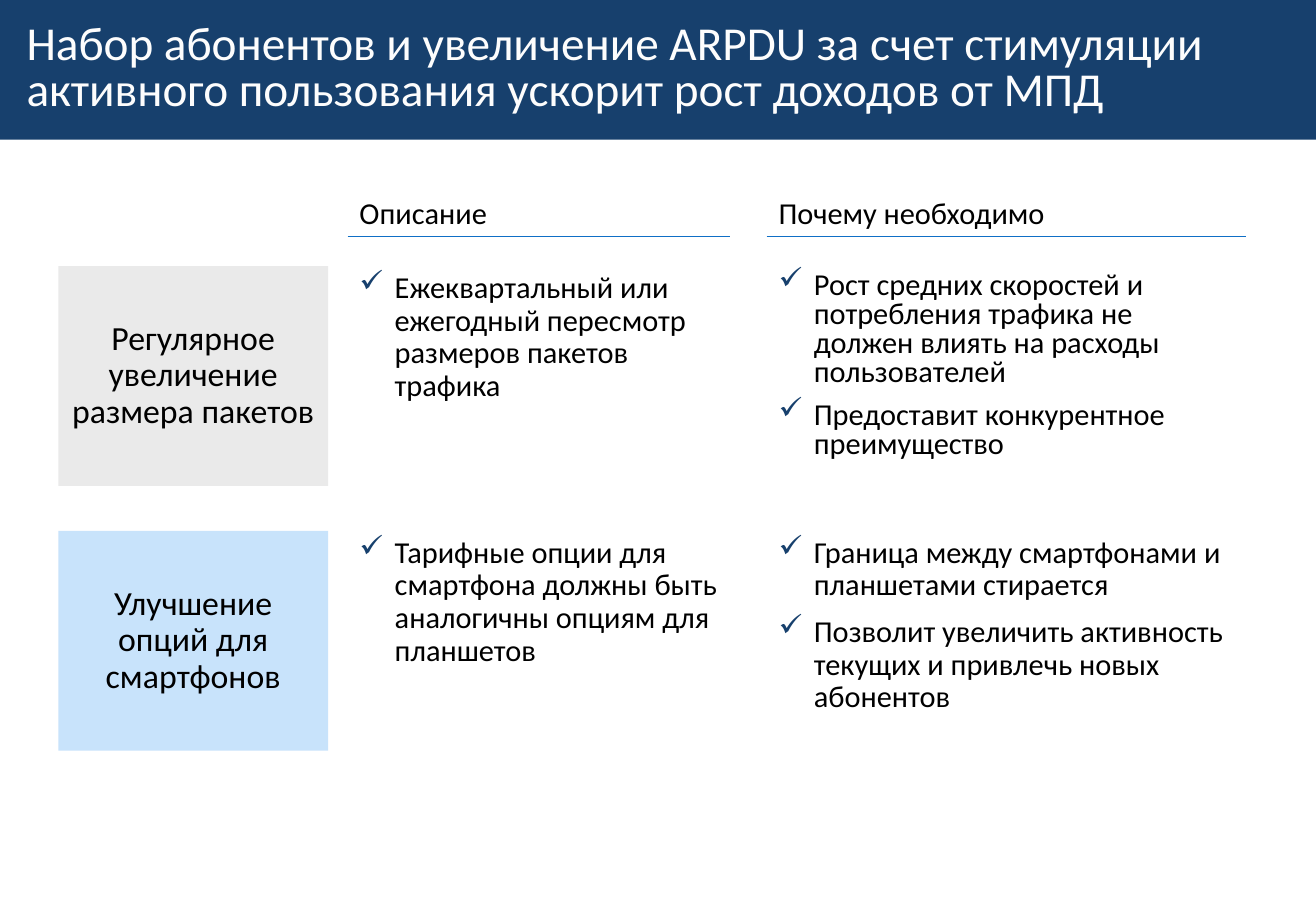
from lxml import etree
from pptx import Presentation
from pptx.dml.color import RGBColor
from pptx.enum.shapes import MSO_CONNECTOR, MSO_SHAPE
from pptx.enum.text import MSO_ANCHOR, PP_ALIGN
from pptx.oxml.ns import qn
from pptx.util import Inches, Pt

RECT, LINE = MSO_SHAPE.RECTANGLE, MSO_CONNECTOR.STRAIGHT
TOP, MIDDLE = MSO_ANCHOR.TOP, MSO_ANCHOR.MIDDLE
LEFT, CENTER = PP_ALIGN.LEFT, PP_ALIGN.CENTER
COLORS = {"navy": "17406D", "white": "FDFDFD", "black": "000000",
          "gray": "EAEAEA", "sky": "C8E3FB", "rule": "0F6FC6"}


def rgb(name):
    return RGBColor.from_string(COLORS[name])


def add_text(box, texts, size=18, color="black", align=LEFT, anchor=TOP,
             inset=None, margin=0, check=False, **format):
    """Fill a box or text box with paragraphs; format goes to each paragraph."""
    box.shadow.inherit = False
    frame = box.text_frame
    frame.word_wrap = True
    frame.vertical_anchor = anchor
    if inset is not None:
        for side in ("left", "top", "right", "bottom"):
            setattr(frame, f"margin_{side}", Inches(inset))
    for i, text in enumerate(texts):
        para = frame.add_paragraph() if i else frame.paragraphs[0]
        para.alignment = align
        for key, value in format.items():
            setattr(para, key, value)
        run = para.add_run()
        run.text = text
        run.font.name, run.font.size = "Calibri", Pt(size)
        run.font.color.rgb = rgb(color)
        props = para._p.get_or_add_pPr()
        props.set("marL", str(Inches(margin)))
        if check:
            props.set("indent", str(-Inches(margin)))
            tint = etree.SubElement(props, qn("a:buClr"))
            etree.SubElement(tint, qn("a:srgbClr"), val=COLORS["navy"])
            etree.SubElement(props, qn("a:buChar"), char="✓")


deck = Presentation()
deck.slide_width, deck.slide_height = Inches(10.83), Inches(7.5)
shapes = deck.slides.add_slide(deck.slide_layouts[6]).shapes

# Title band
band = shapes.add_shape(RECT, 0, 0, deck.slide_width, Inches(1.15))
band.fill.solid()
band.fill.fore_color.rgb = rgb("navy")
band.line.fill.background()
add_text(band, ["Набор абонентов и увеличение ARPDU за счет стимуляции "
                "активного пользования ускорит рост доходов от МПД"],
         size=28, color="white", anchor=MIDDLE, margin=0.12, line_spacing=0.8)

# Column heads with rules
columns = [("Описание", 2.86, 3.15), ("Почему необходимо", 6.31, 3.94)]
for head, x, width in columns:
    box = shapes.add_textbox(Inches(x), Inches(1.55), Inches(width), Inches(0.4))
    add_text(box, [head])
    rule = shapes.add_connector(LINE, Inches(x), Inches(1.95),
                                Inches(x + width), Inches(1.95))
    rule.line.color.rgb = rgb("rule")
    rule.line.width = Pt(0.5)
    etree.SubElement(rule._element.spPr, qn("a:effectLst"))

# Rows: label, fill, then line spacing and points for each column
rows = [
    ("Регулярное увеличение размера пакетов", "gray", [
        (0.9, ["Ежеквартальный или ежегодный пересмотр размеров пакетов трафика"]),
        (0.8, ["Рост средних скоростей и потребления трафика не должен влиять "
               "на расходы пользователей",
               "Предоставит конкурентное преимущество"])]),
    ("Улучшение опций для смартфонов", "sky", [
        (0.9, ["Тарифные опции для смартфона должны быть аналогичны опциям "
               "для планшетов"]),
        (0.9, ["Граница между смартфонами и планшетами стирается",
               "Позволит увеличить активность текущих и привлечь новых "
               "абонентов"])]),
]
ROW_TOP, ROW_STEP, ROW_HIGH = 2.19, 2.18, 1.81
for i, (label, fill, cells) in enumerate(rows):
    y = Inches(ROW_TOP + i * ROW_STEP)
    card = shapes.add_shape(RECT, Inches(0.48), y, Inches(2.22), Inches(ROW_HIGH))
    card.fill.solid()
    card.fill.fore_color.rgb = rgb(fill)
    card.line.fill.background()
    add_text(card, [label], size=20, align=CENTER, anchor=MIDDLE, inset=0.06,
             line_spacing=0.9)
    for (head, x, width), (spacing, points) in zip(columns, cells):
        box = shapes.add_textbox(Inches(x), y, Inches(width), Inches(ROW_HIGH))
        add_text(box, points, margin=0.29, check=True, line_spacing=spacing,
                 space_before=Pt(8.1))

deck.save("out.pptx")
